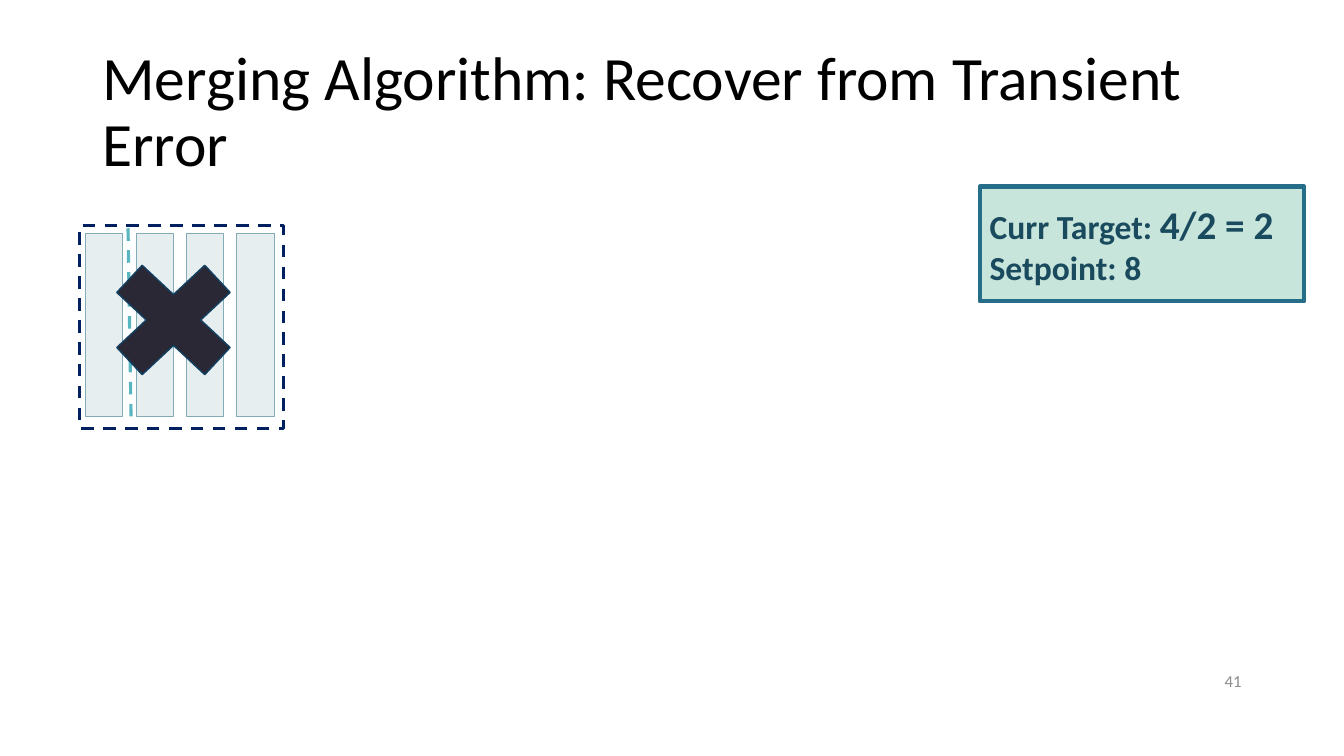
from lxml import etree
from pptx import Presentation
from pptx.dml.color import RGBColor
from pptx.enum.dml import MSO_LINE
from pptx.enum.shapes import MSO_CONNECTOR, MSO_SHAPE
from pptx.enum.text import MSO_ANCHOR, PP_ALIGN
from pptx.oxml.ns import qn
from pptx.util import Pt

TITLE = "Merging Algorithm: Recover from Transient Error"
PAGE_NUMBER = "41"
# Each line is a list of (text, size) runs.
STATUS = [
    [("Curr Target: ", 24), ("4/2 = 2", 28)],
    [("Setpoint: 8", 24)],
]
COLORS = {
    "title": "000000",
    "page": "8C8C8C",
    "lane": "E6EEF0",
    "lane_edge": "84ACB6",
    "group_edge": "002060",
    "divider": "58B6C0",
    "status": "C8E5DC",
    "status_edge": "266D8A",
    "status_text": "1A4A5D",
    "cross": "292834",
    "cross_edge": "134163",
}
FONT = "Calibri"

# Left, top, width, height in points
TITLE_BOX = (66, 28.8, 828, 104.4)
PAGE_BOX = (678, 471.6, 216, 28.8)
STATUS_BOX = (699.8, 133.2, 231.8, 82.1)
GROUP_BOX = (56.9, 161.3, 145.4, 144.7)
CROSS_BOX = (63.4, 172.1, 121, 113)
FIRST_LANE = (61.2, 167, 26.6, 130.3)
LANE_COUNT, LANE_STEP = 4, 36
DIVIDER = (93.6, 297.4, 91.4, 159.8)


def color(name):
    return RGBColor.from_string(COLORS[name])


def style_line(line, edge, weight, dashed=False):
    line.color.rgb = color(edge)
    line.width = Pt(weight)
    if dashed:
        line.dash_style = MSO_LINE.DASH


def add_preset(slide, preset, box, edge, weight, fill=None, dashed=False):
    shape = slide.shapes.add_shape(preset, *map(Pt, box))
    shape.shadow.inherit = False
    if fill:
        shape.fill.solid()
        shape.fill.fore_color.rgb = color(fill)
    else:
        shape.fill.background()
    style_line(shape.line, edge, weight, dashed)
    return shape


def write_text(shape, lines, *, ink, bold=False, align=PP_ALIGN.LEFT, spacing=1.0):
    """Fill a shape with lines of (text, size) runs, centred vertically."""
    frame = shape.text_frame
    frame.word_wrap = True
    frame.vertical_anchor = MSO_ANCHOR.MIDDLE
    for index, line in enumerate(lines):
        paragraph = frame.add_paragraph() if index else frame.paragraphs[0]
        paragraph.alignment = align
        paragraph.line_spacing = spacing
        for text, size in line:
            run = paragraph.add_run()
            run.text = text
            run.font.name = FONT
            run.font.size = Pt(size)
            run.font.bold = bold
            run.font.color.rgb = color(ink)


def add_divider(slide):
    divider = slide.shapes.add_connector(MSO_CONNECTOR.STRAIGHT, *map(Pt, DIVIDER))
    style_line(divider.line, "divider", 2.25, dashed=True)
    etree.SubElement(divider._element.spPr, qn("a:effectLst"))


def main():
    presentation = Presentation()
    presentation.slide_width, presentation.slide_height = Pt(960), Pt(540)
    slide = presentation.slides.add_slide(presentation.slide_layouts[6])

    page = slide.shapes.add_textbox(*map(Pt, PAGE_BOX))
    write_text(page, [[(PAGE_NUMBER, 12)]], ink="page", align=PP_ALIGN.RIGHT)
    title = slide.shapes.add_textbox(*map(Pt, TITLE_BOX))
    write_text(title, [[(TITLE, 44)]], ink="title", spacing=0.9)

    left, *rest = FIRST_LANE
    for lane in range(LANE_COUNT):
        add_preset(slide, MSO_SHAPE.RECTANGLE, (left + lane * LANE_STEP, *rest),
                   "lane_edge", 0.5, fill="lane")
    add_preset(slide, MSO_SHAPE.RECTANGLE, GROUP_BOX, "group_edge", 2.25, dashed=True)
    add_divider(slide)

    status = add_preset(slide, MSO_SHAPE.RECTANGLE, STATUS_BOX, "status_edge", 3,
                        fill="status")
    write_text(status, STATUS, ink="status_text", bold=True)
    add_preset(slide, MSO_SHAPE.MATH_MULTIPLY, CROSS_BOX, "cross_edge", 1, fill="cross")

    presentation.save("out.pptx")


if __name__ == "__main__":
    main()
